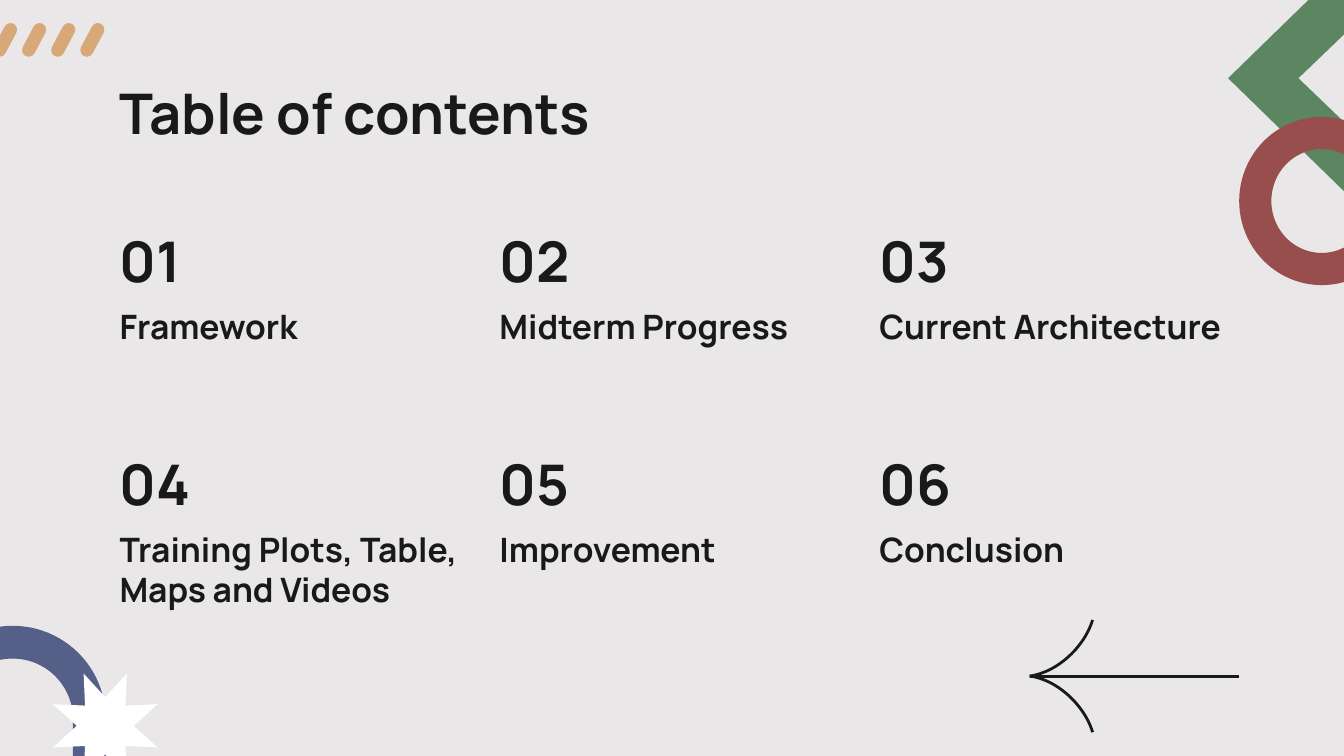
from dataclasses import dataclass
from math import cos, pi, sin

from lxml import etree
from pptx import Presentation
from pptx.dml.color import RGBColor
from pptx.enum.shapes import MSO_CONNECTOR, MSO_SHAPE
from pptx.enum.text import MSO_ANCHOR
from pptx.oxml.ns import qn
from pptx.util import Cm, Pt

PILL = MSO_SHAPE.ROUNDED_RECTANGLE
DONUT = MSO_SHAPE.DONUT
STRAIGHT = MSO_CONNECTOR.STRAIGHT
TOP = MSO_ANCHOR.TOP
MIDDLE = MSO_ANCHOR.MIDDLE


@dataclass(frozen=True)
class Theme:
    font: str = "Manrope"
    back: str = "E9E7E8"
    ink: str = "191919"
    sand: str = "D8A879"
    blue: str = "555F88"
    white: str = "FFFFFF"
    green: str = "5C8662"
    red: str = "974E4D"
    head: int = 30
    label: int = 18
    stroke: float = 1.5


def rgb(code):
    return RGBColor.from_string(code)


def polar(x, y, size, angle):
    return x + size * cos(angle), y + size * sin(angle)


def arch(x, y, size, base):
    arc = [polar(x, y, size, pi + pi * i / 48) for i in range(49)]
    return arc + [(x + size, base), (x - size, base)]


def star(x, y, outer, inner):
    return [polar(x, y, inner if i % 2 else outer, (i + 1) * pi / 8) for i in range(16)]


def diamond(x, y, half, rise):
    return [(x, y - rise), (x - half, y), (x, y + rise), (x + half, y)]


def bezier(a, b, c, d, steps=24):
    curve = []
    for i in range(steps + 1):
        t = i / steps
        u = 1 - t
        parts = (u ** 3, 3 * u * u * t, 3 * u * t * t, t ** 3)
        curve.append(tuple(sum(w * p[k] for w, p in zip(parts, (a, b, c, d))) for k in (0, 1)))
    return curve


class Painter:
    def __init__(self, slide, theme):
        self.slide = slide
        self.theme = theme
        slide.background.fill.solid()
        slide.background.fill.fore_color.rgb = rgb(theme.back)

    def paint(self, shape, color):
        shape.shadow.inherit = False
        shape.fill.solid()
        shape.fill.fore_color.rgb = rgb(color)
        shape.line.fill.background()

    def stroke(self, shape):
        shape.line.color.rgb = rgb(self.theme.ink)
        shape.line.width = Pt(self.theme.stroke)

    def shape(self, kind, box, color, adjust, turn=0):
        shape = self.slide.shapes.add_shape(kind, *map(Cm, box))
        shape.adjustments[0] = adjust
        shape.rotation = turn
        self.paint(shape, color)

    def outline(self, rings, close=True):
        rings = [[(Cm(x), Cm(y)) for x, y in ring] for ring in rings]
        first, *rest = rings
        pen = self.slide.shapes.build_freeform(*first[0])
        pen.add_line_segments(first[1:], close=close)
        for ring in rest:
            pen.move_to(*ring[0])
            pen.add_line_segments(ring[1:], close=close)
        return pen.convert_to_shape()

    def solid(self, color, *rings):
        self.paint(self.outline(rings), color)

    def curve(self, points):
        shape = self.outline([points], close=False)
        shape.shadow.inherit = False
        shape.fill.background()
        self.stroke(shape)

    def line(self, start, end):
        line = self.slide.shapes.add_connector(STRAIGHT, *map(Cm, start + end))
        self.stroke(line)
        etree.SubElement(line._element.spPr, qn("a:effectLst"))

    def text(self, words, box, size, anchor=TOP):
        frame = self.slide.shapes.add_textbox(*map(Cm, box)).text_frame
        frame.word_wrap = True
        frame.vertical_anchor = anchor
        frame.margin_left = frame.margin_right = Cm(0.25)
        frame.margin_top = frame.margin_bottom = Cm(0.25)
        para = frame.paragraphs[0]
        para.text = words
        para.font.name = self.theme.font
        para.font.size = Pt(size)
        para.font.bold = True
        para.font.color.rgb = rgb(self.theme.ink)


def main():
    deck = Presentation()
    deck.slide_width, deck.slide_height = Cm(25.4), Cm(14.29)
    theme = Theme()
    art = Painter(deck.slides.add_slide(deck.slide_layouts[6]), theme)

    for i in range(4):
        art.shape(PILL, (-0.03 + 0.55 * i, 0.41, 0.25, 0.69), theme.sand, 0.5, 28)
    art.solid(theme.blue, arch(0.24, 13.59, 1.76, 18.75), arch(0.24, 13.59, 1.14, 18.16))
    art.solid(theme.white, star(1.99, 13.72, 1.07, 0.54))
    art.solid(theme.green, diamond(25.55, 1.48, 2.34, 2.28), diamond(25.55, 1.48, 1.01, 0.97))
    art.shape(DONUT, (23.42, 2.21, 3.12, 3.18), theme.red, 0.195)

    left = 2.01
    art.text("Table of contents", (left, 1.24, 21.41, 1.6), theme.head)
    topics = [
        "Framework", "Midterm Progress", "Current Architecture",
        "Training Plots, Table, Maps and Videos", "Improvement", "Conclusion",
    ]
    for i, topic in enumerate(topics):
        row, col = divmod(i, 3)
        x, y = left + 7.18 * col, 4.29 + 4.22 * row
        art.text(f"{i + 1:02}", (x, y, 2.03, 1.24), theme.head, MIDDLE)
        art.text(topic, (x, y + 1.24, 7.04, 1.35), theme.label)

    tip, level = 19.46, 12.78
    art.line((23.42, level), (tip, level))
    for way in (1, -1):
        barb = [(0, 0), (0.53, 0.07), (1.04, 0.56), (1.19, 1.06)]
        art.curve(bezier(*[(tip + x, level + way * y) for x, y in barb]))

    deck.save("out.pptx")


if __name__ == "__main__":
    main()
